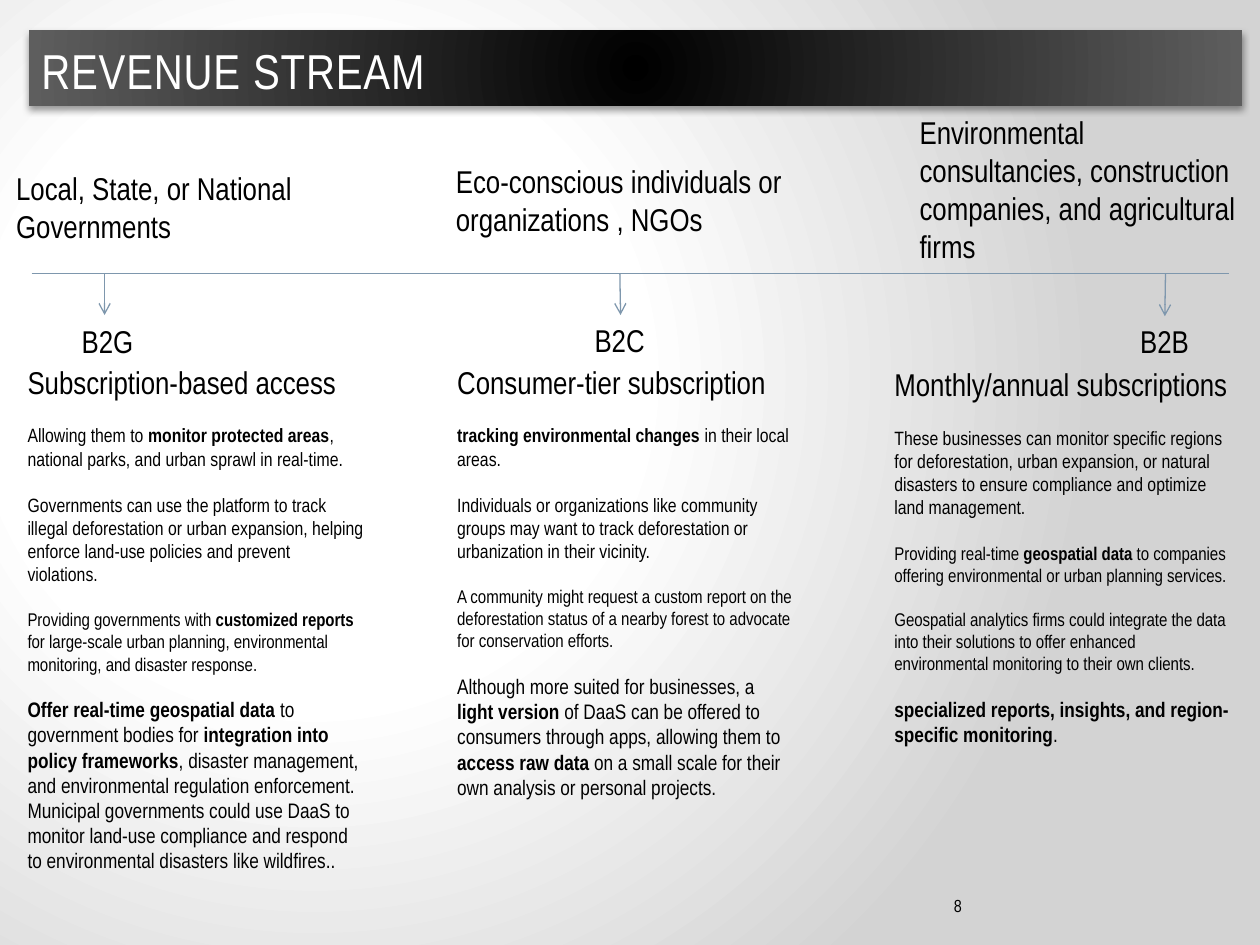
import dataclasses

import lxml.etree
import pptx
import pptx.dml.color
import pptx.enum.shapes
import pptx.enum.text
import pptx.oxml
import pptx.oxml.ns
import pptx.util

Inches = pptx.util.Inches
Pt = pptx.util.Pt
qn = pptx.oxml.ns.qn

FONT = "Arial Narrow"
COLORS = {"ink": "000000", "paper": "FFFFFF", "fog": "D3D3D3",
          "ash": "5E5E5E", "line": "7E97AD"}
RAIL = 2.17
WIDE = 2.8
BODY = 2.88


@dataclasses.dataclass
class Item:
    text: str  # bold parts stand between ** marks
    size: float


@dataclasses.dataclass
class Box:
    left: float
    top: float
    width: float
    height: float


@dataclasses.dataclass
class Stream:
    tag: str
    tag_box: Box
    arrow: float
    buyer: str
    buyer_box: Box
    items: list[Item]
    body_box: Box


STREAMS = [
    Stream("B2G", Box(0.55, 2.51, 0.62, 0.4), 0.83,
           "Local, State, or National Governments", Box(0.03, 1.29, WIDE, 0.71),
           [Item("Subscription-based access", 18),
            Item("Allowing them to **monitor protected areas**, national parks, "
                 "and urban sprawl in real-time.", 11),
            Item("Governments can use the platform to track illegal deforestation or "
                 "urban expansion, helping enforce land-use policies and prevent "
                 "violations.", 11),
            Item("Providing governments with **customized reports** for large-scale "
                 "urban planning, environmental monitoring, and disaster response.", 10.5),
            Item("**Offer real-time geospatial data** to government bodies for "
                 "**integration into policy frameworks**, disaster management, and "
                 "environmental regulation enforcement. Municipal governments could use "
                 "DaaS to monitor land-use compliance and respond to environmental "
                 "disasters like wildfires..", 12)],
           Box(0.12, 2.83, BODY, 4.01)),
    Stream("B2C", Box(4.62, 2.5, 0.61, 0.4), 4.92,
           "Eco-conscious individuals or organizations , NGOs", Box(3.52, 1.24, WIDE, 0.71),
           [Item("Consumer-tier subscription", 18),
            Item("**tracking environmental changes** in their local areas.", 11),
            Item("Individuals or organizations like community groups may want to track "
                 "deforestation or urbanization in their vicinity.", 11),
            Item("A community might request a custom report on the deforestation status "
                 "of a nearby forest to advocate for conservation efforts.", 10.5),
            Item("Although more suited for businesses, a **light version** of DaaS can be "
                 "offered to consumers through apps, allowing them to **access raw data** "
                 "on a small scale for their own analysis or personal projects.", 12)],
           Box(3.53, 2.83, BODY, 3.6)),
    Stream("B2B", Box(8.95, 2.51, 0.59, 0.4), 9.25,
           "Environmental consultancies, construction companies, and agricultural firms",
           Box(7.2, 0.85, WIDE, 1.31),
           [Item("Monthly/annual subscriptions", 18),
            Item("These businesses can monitor specific regions for deforestation, urban "
                 "expansion, or natural disasters to ensure compliance and optimize land "
                 "management.", 11),
            Item("Providing real-time **geospatial data** to companies offering "
                 "environmental or urban planning services.", 10.5),
            Item("Geospatial analytics firms could integrate the data into their solutions "
                 "to offer enhanced environmental monitoring to their own clients.", 10.5),
            Item("**specialized reports, insights, and region-specific monitoring**.", 12)],
           Box(7, 2.85, BODY, 3.16)),
]


def paint(name: str) -> pptx.dml.color.RGBColor:
    return pptx.dml.color.RGBColor.from_string(COLORS[name])


def place(box: Box) -> list[int]:
    return [Inches(side) for side in dataclasses.astuple(box)]


def blend(root, stops: list[tuple[int, str]], focus: dict[str, int]) -> None:
    """Replace the first solid fill under root with a radial gradient."""
    fill = root.find(".//" + qn("a:solidFill"))
    grad = pptx.oxml.parse_xml(
        f'<a:gradFill {pptx.oxml.ns.nsdecls("a")} rotWithShape="1"><a:gsLst/>'
        '<a:path path="circle"><a:fillToRect/></a:path></a:gradFill>')
    for spot, name in stops:
        stop = lxml.etree.SubElement(grad[0], qn("a:gs"), pos=str(spot * 1000))
        lxml.etree.SubElement(stop, qn("a:srgbClr"), val=COLORS[name])
    for side, share in focus.items():
        grad[1][0].set(side, str(share * 1000))
    fill.getparent().replace(fill, grad)


def write(para, item: Item, color: str = "ink", space: int = 0) -> None:
    """Fill a paragraph; space is letter spacing in hundredths of a point."""
    para.font.name = FONT
    para.font.size = Pt(item.size)
    para.font.color.rgb = paint(color)
    for index, part in enumerate(item.text.split("**")):
        if part:
            run = para.add_run()
            run.text = part
            if index % 2:
                run.font.bold = True
            if space:
                run._r.get_or_add_rPr().set("spc", str(space))


def add_text(slide, box: Box, items: list[Item], wrap: bool = True):
    shape = slide.shapes.add_textbox(*place(box))
    frame = shape.text_frame
    frame.word_wrap = wrap
    frame.auto_size = pptx.enum.text.MSO_AUTO_SIZE.SHAPE_TO_FIT_TEXT
    for index, item in enumerate(items):
        para = frame.add_paragraph() if index else frame.paragraphs[0]
        if index:
            para.space_before = Pt(1.2 * min(items[index - 1].size, 11))
        write(para, item)
    return shape


def add_line(slide, start: tuple[float, float], end: tuple[float, float],
             arrow: bool = False):
    line = slide.shapes.add_connector(
        pptx.enum.shapes.MSO_CONNECTOR.STRAIGHT,
        *[Inches(value) for value in start + end])
    line.line.color.rgb = paint("line")
    line.line.width = Pt(0.75)
    if arrow:
        lxml.etree.SubElement(line.line._get_or_add_ln(), qn("a:tailEnd"), type="arrow")
    lxml.etree.SubElement(line._element.spPr, qn("a:effectLst"))
    return line


def add_stream(slide, stream: Stream) -> None:
    tag = add_text(slide, stream.tag_box, [Item(stream.tag, 18)], wrap=False)
    line = add_line(slide, (stream.arrow, RAIL), (stream.arrow, 2.5), arrow=True)
    middle = stream.tag_box.left + stream.tag_box.width / 2
    if abs(middle - stream.arrow) < 0.01:
        line.end_connect(tag, 0)
    add_text(slide, stream.buyer_box, [Item(stream.buyer, 18)])
    add_text(slide, stream.body_box, stream.items)


def add_title(slide) -> None:
    bar = slide.shapes.add_shape(pptx.enum.shapes.MSO_SHAPE.RECTANGLE,
                                 *place(Box(0.23, 0.24, 9.63, 0.6)))
    bar.line.fill.background()
    bar.fill.solid()
    blend(bar._element.spPr, [(0, "ink"), (100, "ash")], dict.fromkeys("ltrb", 100))
    bar.shadow.inherit = False
    glow = lxml.etree.SubElement(
        bar._element.spPr.find(qn("a:effectLst")), qn("a:outerShdw"),
        blurRad=str(Pt(4)), dist=str(Pt(2)), dir="5400000", rotWithShape="0")
    shade = lxml.etree.SubElement(glow, qn("a:srgbClr"), val=COLORS["ink"])
    lxml.etree.SubElement(shade, qn("a:alpha"), val="40000")
    bar.text_frame.vertical_anchor = pptx.enum.text.MSO_ANCHOR.BOTTOM
    para = bar.text_frame.paragraphs[0]
    para.alignment = pptx.enum.text.PP_ALIGN.LEFT
    write(para, Item("REVENUE STREAM", 28), "paper", 50)


def add_page(slide) -> None:
    frame = slide.shapes.add_textbox(*place(Box(6.45, 6.92, 3.17, 0.4))).text_frame
    frame.word_wrap = True
    frame.margin_left = Inches(1.12)
    frame.vertical_anchor = pptx.enum.text.MSO_ANCHOR.BOTTOM
    write(frame.paragraphs[0], Item("8", 10), space=60)


def main() -> None:
    deck = pptx.Presentation()
    deck.slide_width, deck.slide_height = Inches(10), Inches(7.5)
    slide = deck.slides.add_slide(deck.slide_layouts[6])
    slide.background.fill.solid()
    blend(slide.element, [(0, "paper"), (41, "paper"), (100, "fog")],
          {"l": 50, "t": 80, "r": 100, "b": 100})
    add_page(slide)
    add_line(slide, (0.25, RAIL), (9.75, RAIL))
    for stream in STREAMS:
        add_stream(slide, stream)
    add_title(slide)
    deck.save("out.pptx")


if __name__ == "__main__":
    main()
